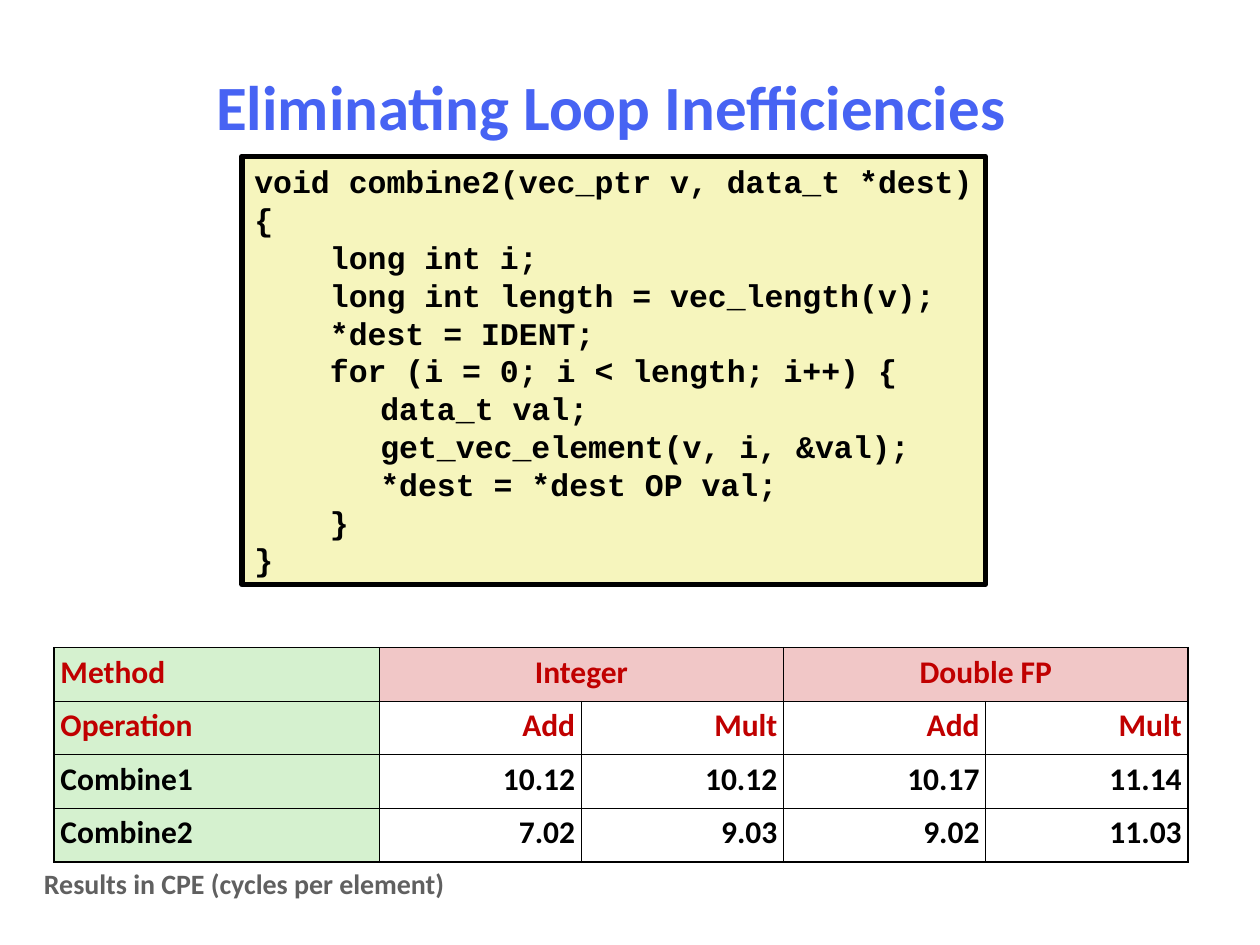
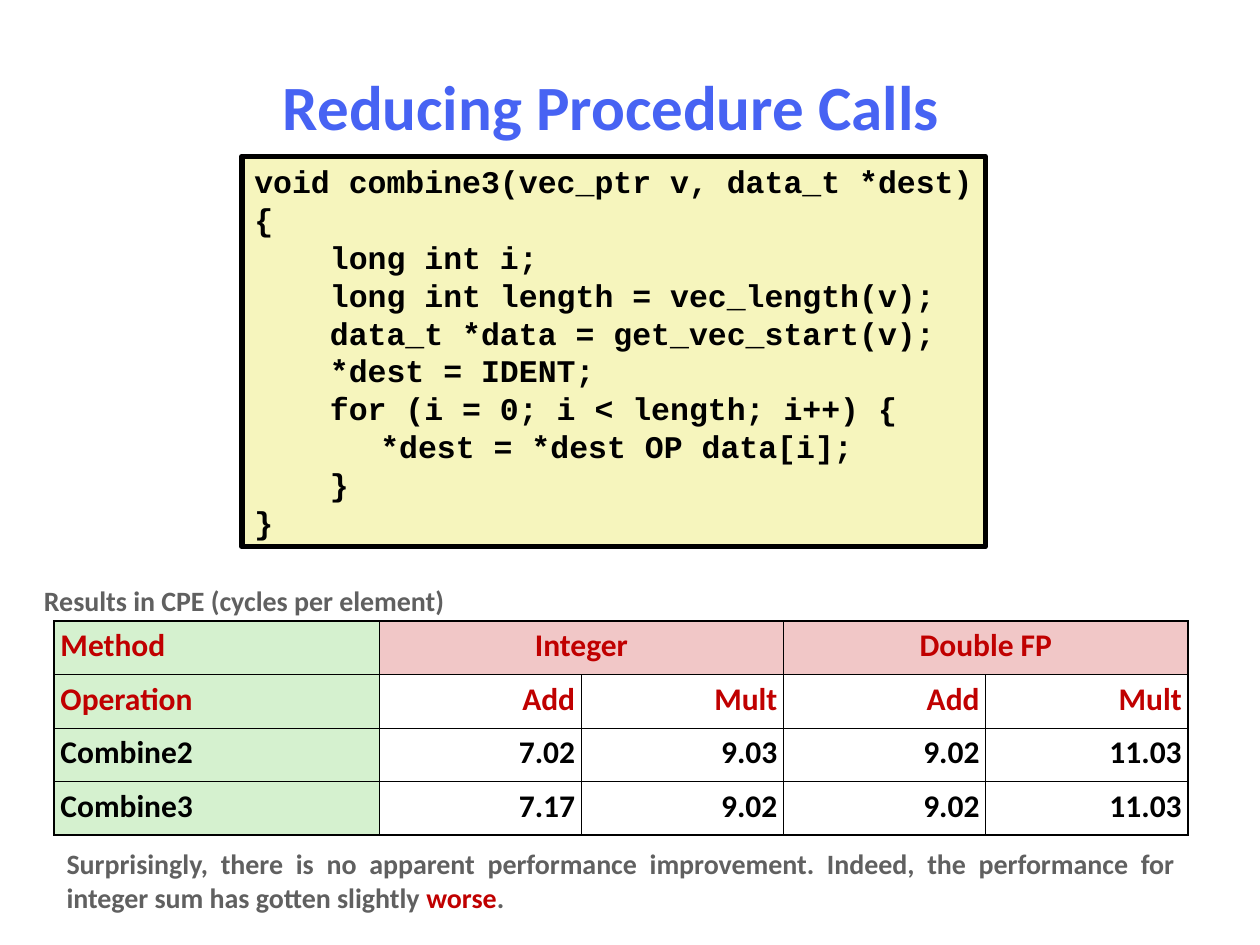
from dataclasses import dataclass

from lxml.etree import SubElement
from pptx import Presentation
from pptx.dml.color import RGBColor
from pptx.enum.shapes import MSO_SHAPE
from pptx.enum.text import MSO_ANCHOR, MSO_AUTO_SIZE, PP_ALIGN
from pptx.oxml.ns import qn
from pptx.presentation import Presentation as Deck
from pptx.slide import Slide
from pptx.table import _Cell
from pptx.text.text import TextFrame
from pptx.util import Inches, Length, Pt


@dataclass(frozen=True)
class Theme:
    heading: RGBColor = RGBColor(0x47, 0x63, 0xF3)
    accent: RGBColor = RGBColor(0xC0, 0x00, 0x00)
    ink: RGBColor = RGBColor(0x00, 0x00, 0x00)
    muted: RGBColor = RGBColor(0x60, 0x60, 0x60)
    code_fill: RGBColor = RGBColor(0xF6, 0xF5, 0xBD)
    method_fill: RGBColor = RGBColor(0xD5, 0xF1, 0xCF)
    group_fill: RGBColor = RGBColor(0xF1, 0xC7, 0xC7)
    body_font: str = "Calibri"
    code_font: str = "Courier New"
    title_size: Length = Pt(36)
    main_size: Length = Pt(18)
    note_size: Length = Pt(16)
    outer_border: Length = Pt(1.08)
    inner_border: Length = Pt(0.45)


@dataclass(frozen=True)
class Segment:
    text: str
    color: RGBColor


@dataclass(frozen=True)
class Timing:
    method: str
    cpe: tuple[str, str, str, str]


@dataclass(frozen=True)
class Comparison:
    title: str
    code: str
    timings: tuple[Timing, Timing]
    table_top: Length
    caption_top: Length
    remark: tuple[Segment, ...] = ()


THEME = Theme()
TABLE_LEFT, TABLE_WIDTH, TABLE_HEIGHT = Inches(0.43), Inches(9), Inches(1.7)
METHOD_WIDTH = Inches(2.58)
CODE_LINE, CODE_PADDING = Inches(0.3), Inches(0.1)
CAPTION = "Results in CPE (cycles per element)"
GROUPS = ("Integer", "Double FP")
OPERATIONS = ("Add", "Mult")

COMBINE1 = Timing("Combine1", ("10.12", "10.12", "10.17", "11.14"))
COMBINE2 = Timing("Combine2", ("7.02", "9.03", "9.02", "11.03"))
COMBINE3 = Timing("Combine3", ("7.17", "9.02", "9.02", "11.03"))

COMPARISONS = (
    Comparison(
        title="Eliminating Loop Inefficiencies",
        code="""void combine2(vec_ptr v, data_t *dest)
{
    long int i;
    long int length = vec_length(v);
    *dest = IDENT;
    for (i = 0; i < length; i++) {
\tdata_t val;
\tget_vec_element(v, i, &val);
\t*dest = *dest OP val;
    }
}""",
        timings=(COMBINE1, COMBINE2),
        table_top=Inches(5.14),
        caption_top=Inches(6.83),
    ),
    Comparison(
        title="Reducing Procedure Calls",
        code="""void combine3(vec_ptr v, data_t *dest)
{
    long int i;
    long int length = vec_length(v);
    data_t *data = get_vec_start(v);
    *dest = IDENT;
    for (i = 0; i < length; i++) {
\t*dest = *dest OP data[i];
    }
}""",
        timings=(COMBINE2, COMBINE3),
        table_top=Inches(4.93),
        caption_top=Inches(4.58),
        remark=(
            Segment("Surprisingly, there is no apparent performance improvement. "
                    "Indeed, the performance for integer sum has gotten slightly ", THEME.muted),
            Segment("worse", THEME.accent),
            Segment(".", THEME.muted),
        ),
    ),
)


def write(frame: TextFrame, content: str | tuple[Segment, ...], *,
          size: Length = THEME.main_size, color: RGBColor = THEME.ink,
          font: str = THEME.body_font, align: PP_ALIGN = PP_ALIGN.LEFT,
          spacing: float | None = None, tab: Length | None = None) -> None:
    """Fill a frame with one paragraph per line, or one paragraph of segments."""
    if isinstance(content, str):
        paragraphs = [(Segment(line, color),) for line in content.split("\n")]
    else:
        paragraphs = [content]
    for index, segments in enumerate(paragraphs):
        paragraph = frame.add_paragraph() if index else frame.paragraphs[0]
        if tab is not None:
            stops = SubElement(paragraph._p.get_or_add_pPr(), qn("a:tabLst"))
            SubElement(stops, qn("a:tab"), pos=str(tab), algn="l")
        paragraph.alignment = align
        if spacing is not None:
            paragraph.line_spacing = spacing
        for segment in segments:
            run = paragraph.add_run()
            run.text = segment.text
            run.font.name = font
            run.font.size = size
            run.font.bold = True
            run.font.color.rgb = segment.color


def add_title(slide: Slide, text: str) -> None:
    title = slide.shapes.title
    title.left, title.top = Inches(0.7), Inches(0.42)
    title.width, title.height = Inches(8.3), Inches(0.83)
    title.text_frame.vertical_anchor = MSO_ANCHOR.MIDDLE
    write(title.text_frame, text, size=THEME.title_size, color=THEME.heading,
          align=PP_ALIGN.CENTER)


def add_code(slide: Slide, code: str) -> None:
    height = CODE_PADDING + CODE_LINE * len(code.split("\n"))
    panel = slide.shapes.add_shape(
        MSO_SHAPE.RECTANGLE, Inches(1.92), Inches(1.24), Inches(5.9), height)
    panel.shadow.inherit = False
    panel.fill.solid()
    panel.fill.fore_color.rgb = THEME.code_fill
    panel.line.color.rgb = THEME.ink
    panel.line.width = Pt(3)
    frame = panel.text_frame
    frame.word_wrap = False
    frame.auto_size = MSO_AUTO_SIZE.SHAPE_TO_FIT_TEXT
    frame.vertical_anchor = MSO_ANCHOR.TOP
    write(frame, code, font=THEME.code_font, tab=Inches(1))


def add_note(slide: Slide, content: str | tuple[Segment, ...], left: Length, top: Length,
             width: Length, height: Length, align: PP_ALIGN = PP_ALIGN.LEFT) -> None:
    frame = slide.shapes.add_textbox(left, top, width, height).text_frame
    frame.word_wrap = True
    frame.auto_size = MSO_AUTO_SIZE.SHAPE_TO_FIT_TEXT
    write(frame, content, size=THEME.note_size, color=THEME.muted, align=align)


def format_cell(cell: _Cell, text: str, outer_edges: dict[str, bool],
                fill: RGBColor | None, color: RGBColor, align: PP_ALIGN) -> None:
    """Write a cell and give its outer edges the heavier border."""
    cell.margin_left = cell.margin_right = Inches(0.05)
    cell.margin_top = cell.margin_bottom = Inches(0.05)
    properties = cell._tc.get_or_add_tcPr()
    for edge, is_outer in outer_edges.items():
        width = THEME.outer_border if is_outer else THEME.inner_border
        border = SubElement(properties, qn(f"a:ln{edge}"), w=str(width))
        SubElement(SubElement(border, qn("a:solidFill")), qn("a:srgbClr"), val=str(THEME.ink))
    if fill is None:
        cell.fill.background()
    else:
        cell.fill.solid()
        cell.fill.fore_color.rgb = fill
    write(cell.text_frame, text, color=color, align=align, spacing=0.95)


def add_timings(slide: Slide, timings: tuple[Timing, ...], top: Length) -> None:
    group_span = len(OPERATIONS)
    group_row = [label for group in GROUPS for label in (group, *[""] * (group_span - 1))]
    rows = [("Method", *group_row), ("Operation", *OPERATIONS * len(GROUPS))]
    rows += [(timing.method, *timing.cpe) for timing in timings]
    row_count, column_count = len(rows), len(rows[0])
    table = slide.shapes.add_table(
        row_count, column_count, TABLE_LEFT, top, TABLE_WIDTH, TABLE_HEIGHT).table
    table.first_row = table.horz_banding = False
    for row in table.rows:
        row.height = TABLE_HEIGHT // row_count
    for index, column in enumerate(table.columns):
        value_width = (TABLE_WIDTH - METHOD_WIDTH) // (column_count - 1)
        column.width = value_width if index else METHOD_WIDTH
    for first in range(1, column_count, group_span):
        table.cell(0, first).merge(table.cell(0, first + group_span - 1))

    for r, labels in enumerate(rows):
        for c, label in enumerate(labels):
            cell = table.cell(r, c)
            if cell.is_spanned:
                continue
            span = cell.span_width if cell.is_merge_origin else 1
            if c == 0:
                fill, align = THEME.method_fill, PP_ALIGN.LEFT
            elif r == 0:
                fill, align = THEME.group_fill, PP_ALIGN.CENTER
            else:
                fill, align = None, PP_ALIGN.RIGHT
            outer_edges = {"L": c == 0, "R": c + span == column_count,
                           "T": r == 0, "B": r == row_count - 1}
            format_cell(cell, label, outer_edges, fill,
                        THEME.accent if r < 2 else THEME.ink, align)


def add_comparison(deck: Deck, comparison: Comparison) -> None:
    slide = deck.slides.add_slide(deck.slide_layouts.get_by_name("Title Only"))
    add_title(slide, comparison.title)
    add_code(slide, comparison.code)
    add_timings(slide, comparison.timings, comparison.table_top)
    add_note(slide, CAPTION, Inches(0.25), comparison.caption_top, Inches(5.92), Inches(0.37))
    if comparison.remark:
        add_note(slide, comparison.remark, TABLE_LEFT, Inches(6.67), TABLE_WIDTH,
                 Inches(0.64), align=PP_ALIGN.JUSTIFY)


def main() -> None:
    deck = Presentation()
    deck.slide_width, deck.slide_height = Inches(10), Inches(7.5)
    for comparison in COMPARISONS:
        add_comparison(deck, comparison)
    deck.save("out.pptx")


if __name__ == "__main__":
    main()
